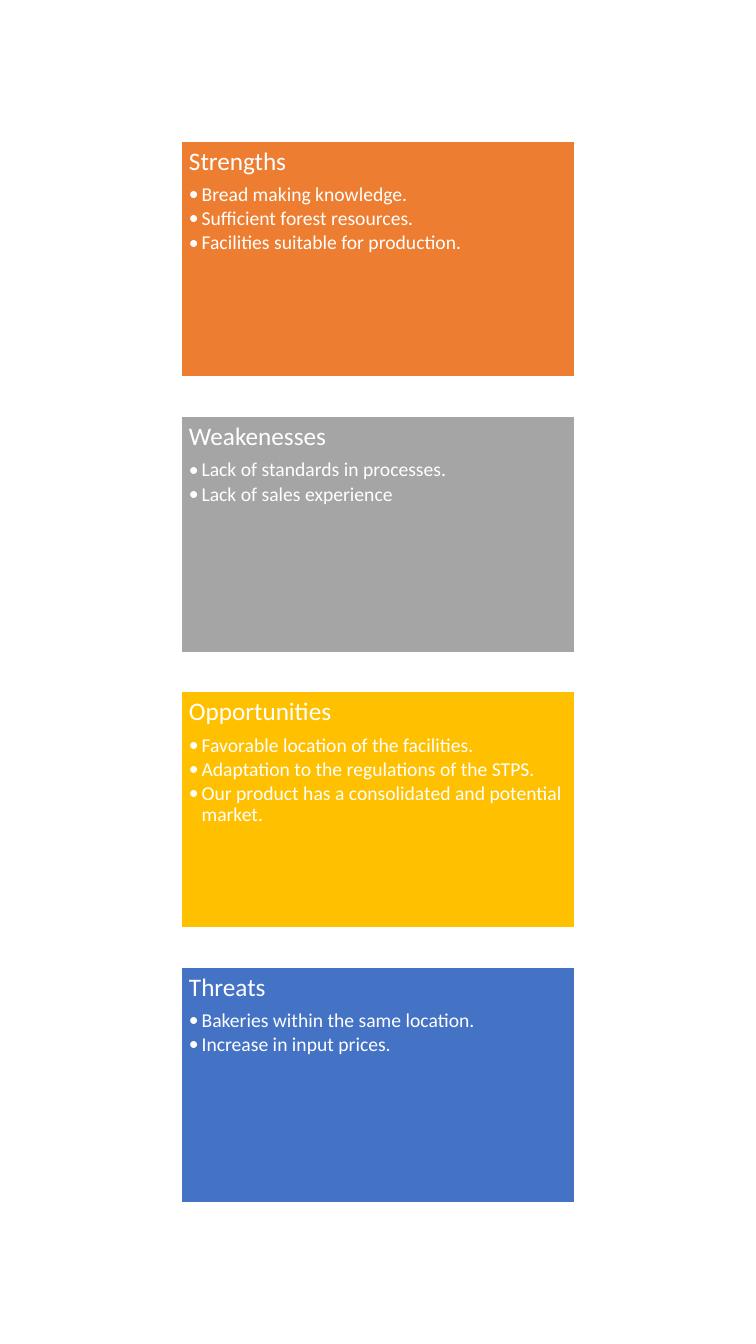
from lxml.etree import SubElement
from pptx import Presentation
from pptx.dml.color import RGBColor
from pptx.enum.shapes import MSO_SHAPE
from pptx.enum.text import MSO_ANCHOR, PP_ALIGN
from pptx.oxml.ns import qn
from pptx.util import Inches, Pt


def rgb(value):
    return RGBColor.from_string(value)


def add_text(p, text, size, after, color="FFFFFF", bullet=False):
    p.alignment = PP_ALIGN.LEFT
    p.line_spacing = 0.9
    p.space_after = Pt(after)
    r = p.add_run()
    r.text = text
    r.font.name = "Calibri"
    r.font.size = Pt(size)
    r.font.color.rgb = rgb(color)
    if bullet:
        p.level = 1
        pPr = p._p.get_or_add_pPr()
        pPr.set("marL", str(Pt(9)))
        pPr.set("indent", str(-Pt(9)))
        SubElement(pPr, qn("a:buFont")).set("typeface", "Calibri")
        SubElement(pPr, qn("a:buChar")).set("char", "•")
    SubElement(p._p, qn("a:endParaRPr")).set("sz", str(size * 100))


prs = Presentation()
prs.slide_width, prs.slide_height = Inches(7.5), Inches(13.33)
s = prs.slides.add_slide(prs.slide_layouts[6])

swot = [
    ("Strengths", "ED7D31", [
        "Bread making knowledge.",
        "Sufficient forest resources.",
        "Facilities suitable for production."]),
    ("Weakenesses", "A5A5A5", [
        "Lack of standards in processes.",
        "Lack of sales experience"]),
    ("Opportunities", "FFC000", [
        "Favorable location of the facilities.",
        "Adaptation to the regulations of the STPS.",
        "Our product has a consolidated and potential market."]),
    ("Threats", "4472C4", [
        "Bakeries within the same location.",
        "Increase in input prices."]),
]

box_w, box_h, gap = Inches(3.9), Inches(2.34), Inches(0.39)
pitch = box_h + gap
left = (prs.slide_width - box_w) // 2
top = (prs.slide_height - len(swot) * pitch + gap) // 2

for row, (title, color, points) in enumerate(swot):
    sp = s.shapes.add_shape(MSO_SHAPE.RECTANGLE, left, top + row * pitch, box_w, box_h)
    sp.shadow.inherit = False
    sp.fill.solid()
    sp.fill.fore_color.rgb = rgb(color)
    sp.line.color.rgb = rgb("FFFFFF")
    sp.line.width = Pt(1)
    tf = sp.text_frame
    tf.word_wrap = True
    tf.vertical_anchor = MSO_ANCHOR.TOP
    tf.margin_left = tf.margin_right = tf.margin_top = tf.margin_bottom = Pt(5.4)
    add_text(tf.paragraphs[0], title, size=18, after=6.3)
    for point in points:
        add_text(tf.add_paragraph(), point, size=14, after=2.1, bullet=True)

prs.save("out.pptx")
